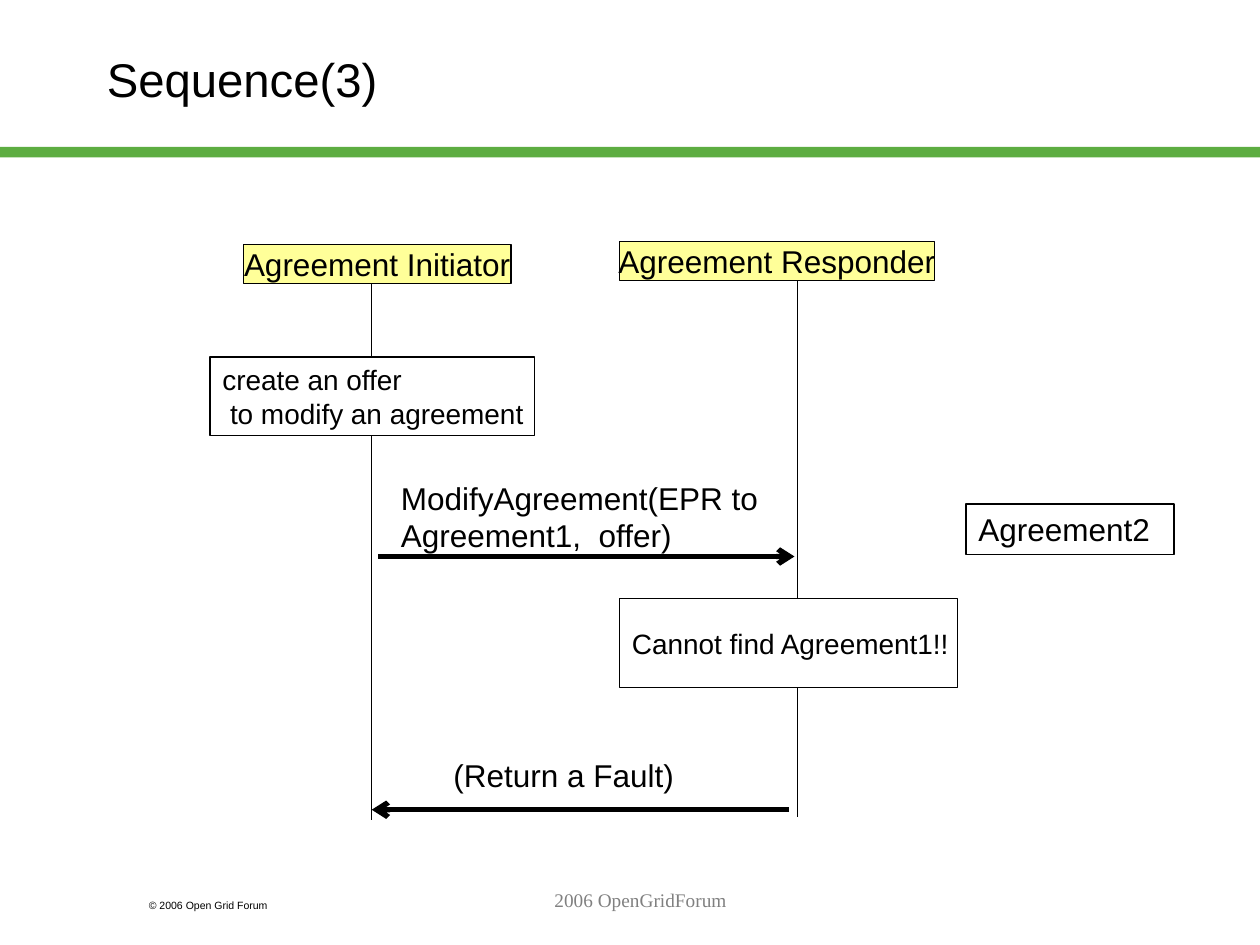
import pptx
import pptx.dml.color
import pptx.enum.shapes
import pptx.enum.text
import pptx.oxml.ns
import pptx.util
from lxml import etree

Pt = pptx.util.Pt
ALIGN = pptx.enum.text.PP_ALIGN
ANCHOR = pptx.enum.text.MSO_ANCHOR
RECT = pptx.enum.shapes.MSO_SHAPE.RECTANGLE
STRAIGHT = pptx.enum.shapes.MSO_CONNECTOR.STRAIGHT
qn = pptx.oxml.ns.qn

BLACK, WHITE = "000000", "FFFFFF"
GREEN, YELLOW, GREY = "5DAD41", "FFFF99", "808080"
INITIATOR_X, RESPONDER_X = 212.4, 455.8


def rgb(color):
    return pptx.dml.color.RGBColor.from_string(color)


def write(sp, lines, size, color=BLACK, font="Arial", align=ALIGN.LEFT,
          anchor=ANCHOR.TOP, wrap=False, indent=0):
    tf = sp.text_frame
    tf.word_wrap = wrap
    tf.vertical_anchor = anchor
    for i, line in enumerate(lines):
        p = tf.add_paragraph() if i else tf.paragraphs[0]
        p.alignment = align
        if i and indent:
            p._p.get_or_add_pPr().set("marL", str(Pt(indent)))
        r = p.add_run()
        r.text = line
        r.font.size = Pt(size)
        r.font.name = font
        r.font.color.rgb = rgb(color)


def add_text(s, x, y, w, h, lines, size, **style):
    sp = s.shapes.add_textbox(Pt(x), Pt(y), Pt(w), Pt(h))
    write(sp, lines, size, **style)


def add_box(s, x, y, w, h, fill=None, line=BLACK):
    sp = s.shapes.add_shape(RECT, Pt(x), Pt(y), Pt(w), Pt(h))
    sp.shadow.inherit = False
    if fill:
        sp.fill.solid()
        sp.fill.fore_color.rgb = rgb(fill)
    else:
        sp.fill.background()
    if line:
        sp.line.color.rgb = rgb(line)
        sp.line.width = Pt(0.75)
    else:
        sp.line.fill.background()
    return sp


def add_line(s, x1, y1, x2, y2, width=0.75, arrow=False):
    cn = s.shapes.add_connector(STRAIGHT, Pt(x1), Pt(y1), Pt(x2), Pt(y2))
    cn.line.color.rgb = rgb(BLACK)
    cn.line.width = Pt(width)
    if arrow:
        etree.SubElement(cn.line._get_or_add_ln(), qn("a:tailEnd"), type="arrow")
    etree.SubElement(cn._element.spPr, qn("a:effectLst"))


def add_participant(s, name, x, y, w, life_x, life_end):
    h = 22.5
    sp = add_box(s, x, y, w, h, YELLOW)
    write(sp, [name], 18, align=ALIGN.CENTER, anchor=ANCHOR.MIDDLE)
    add_line(s, life_x, y + h, life_x, life_end)


def add_step(s, x, y, w, h, lines, indent=0):
    sp = add_box(s, x, y, w, h, WHITE)
    write(sp, lines, 16, anchor=ANCHOR.MIDDLE, indent=indent)


def main():
    prs = pptx.Presentation()
    prs.slide_width, prs.slide_height = Pt(720), Pt(540)
    s = prs.slides.add_slide(prs.slide_layouts[6])

    add_box(s, 0, 84, 720, 6, GREEN, line=None)
    add_text(s, 78, 510, 108, 14.4, ["© 2006 Open Grid Forum"], 6, wrap=True)
    add_text(s, 54, 12, 174, 66, ["Sequence(3)"], 27,
             anchor=ANCHOR.MIDDLE, wrap=True)

    add_participant(s, "Agreement Initiator", 139, 139.6, 153, INITIATOR_X, 468.6)
    add_participant(s, "Agreement Responder", 354, 138, 180, RESPONDER_X, 466.8)

    add_line(s, 216, 318, 454, 318, width=3, arrow=True)
    add_text(s, 222, 270, 223, 50.4,
             ["ModifyAgreement(EPR to", "Agreement1,  offer)"], 18)
    add_line(s, 451, 462.7, INITIATOR_X, 462.7, width=3, arrow=True)
    add_text(s, 252, 428.4, 140.4, 28.8, ["(Return a Fault)"], 18)

    add_step(s, 120, 204, 185.5, 45,
             ["create an offer", "to modify an agreement"], indent=4.4)
    add_step(s, 354, 342, 193, 51, ["Cannot find Agreement1!!"])
    write(add_box(s, 552, 288, 119, 28.8), ["Agreement2"], 18, wrap=True)

    add_text(s, 156, 504, 420, 36, ["2006 OpenGridForum"], 11, color=GREY,
             font="Times New Roman", align=ALIGN.CENTER, wrap=True)
    prs.save("out.pptx")


if __name__ == "__main__":
    main()
